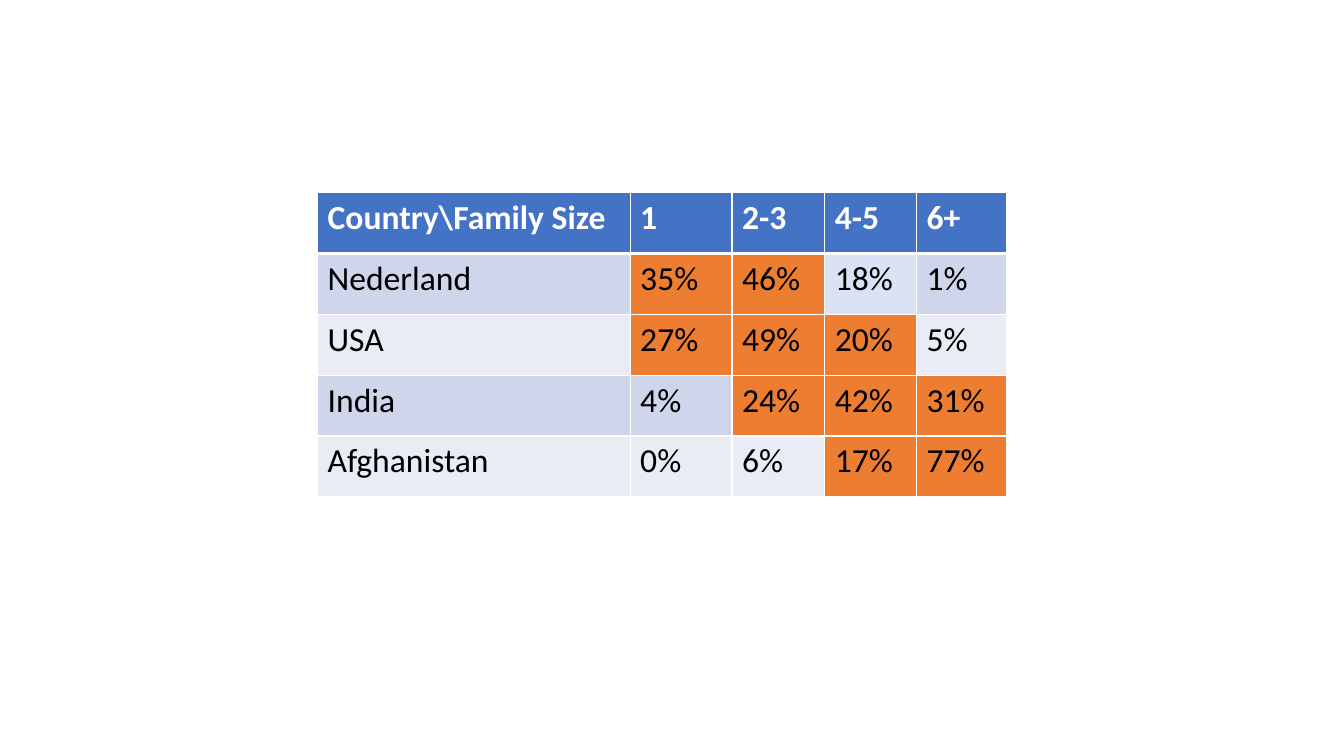
from lxml.etree import SubElement
from pptx import Presentation
from pptx.dml.color import RGBColor
from pptx.oxml.ns import qn
from pptx.util import Inches, Pt

HEADER = ("Country\\Family Size", "1", "2-3", "4-5", "6+")
COUNTRIES = (
    ("Nederland", "35%", "46%", "18%", "1%"),
    ("USA", "27%", "49%", "20%", "5%"),
    ("India", "4%", "24%", "42%", "31%"),
    ("Afghanistan", "0%", "6%", "17%", "77%"),
)
CELL_FILLS = {
    "high": {(1, 1), (1, 2), (2, 1), (2, 2), (2, 3),
             (3, 2), (3, 3), (3, 4), (4, 3), (4, 4)},
    "pale": {(1, 3)},
}
THEME = {
    "font": "Calibri", "size": 24, "header": "4472C4",
    "bands": ("E9EBF5", "CFD5EA"), "high": "ED7D31", "pale": "DAE3F3",
    "light": "FFFFFF", "dark": "000000", "rule": 1, "header_rule": 3,
}
LEFT, TOP, HEIGHT = 3.15, 1.91, 3.02
COLUMN_WIDTHS = (3.1, 1.01, 0.92, 0.91, 0.89)


def cell_color(row, column):
    if row == 0:
        return THEME["header"]
    for name, places in CELL_FILLS.items():
        if (row, column) in places:
            return THEME[name]
    return THEME["bands"][row % 2]


def add_borders(cell, row):
    properties = cell._tc.get_or_add_tcPr()
    header_edge = {0: "lnB", 1: "lnT"}.get(row)
    for side in ("lnL", "lnR", "lnT", "lnB"):
        width = THEME["header_rule" if side == header_edge else "rule"]
        line = SubElement(properties, qn(f"a:{side}"), w=str(Pt(width)))
        fill = SubElement(line, qn("a:solidFill"))
        SubElement(fill, qn("a:srgbClr"), val=THEME["light"])


def fill_cell(cell, text, row, column):
    add_borders(cell, row)
    cell.fill.solid()
    cell.fill.fore_color.rgb = RGBColor.from_string(cell_color(row, column))
    span = cell.text_frame.paragraphs[0].add_run()
    span.text = text
    font_format = {"name": THEME["font"], "size": Pt(THEME["size"]), "bold": row == 0}
    for name, value in font_format.items():
        setattr(span.font, name, value)
    text_color = THEME["dark" if row else "light"]
    span.font.color.rgb = RGBColor.from_string(text_color)


def main():
    deck = Presentation()
    deck.slide_width, deck.slide_height = Inches(13.33), Inches(7.5)
    page = deck.slides.add_slide(deck.slide_layouts[6])
    rows = (HEADER, *COUNTRIES)
    frame = page.shapes.add_table(
        len(rows), len(HEADER), Inches(LEFT), Inches(TOP),
        Inches(sum(COLUMN_WIDTHS)), Inches(HEIGHT))
    table = frame.table
    for column, width in zip(table.columns, COLUMN_WIDTHS):
        column.width = Inches(width)
    for row, texts in enumerate(rows):
        for column, text in enumerate(texts):
            fill_cell(table.cell(row, column), text, row, column)
    deck.save("out.pptx")


if __name__ == "__main__":
    main()
